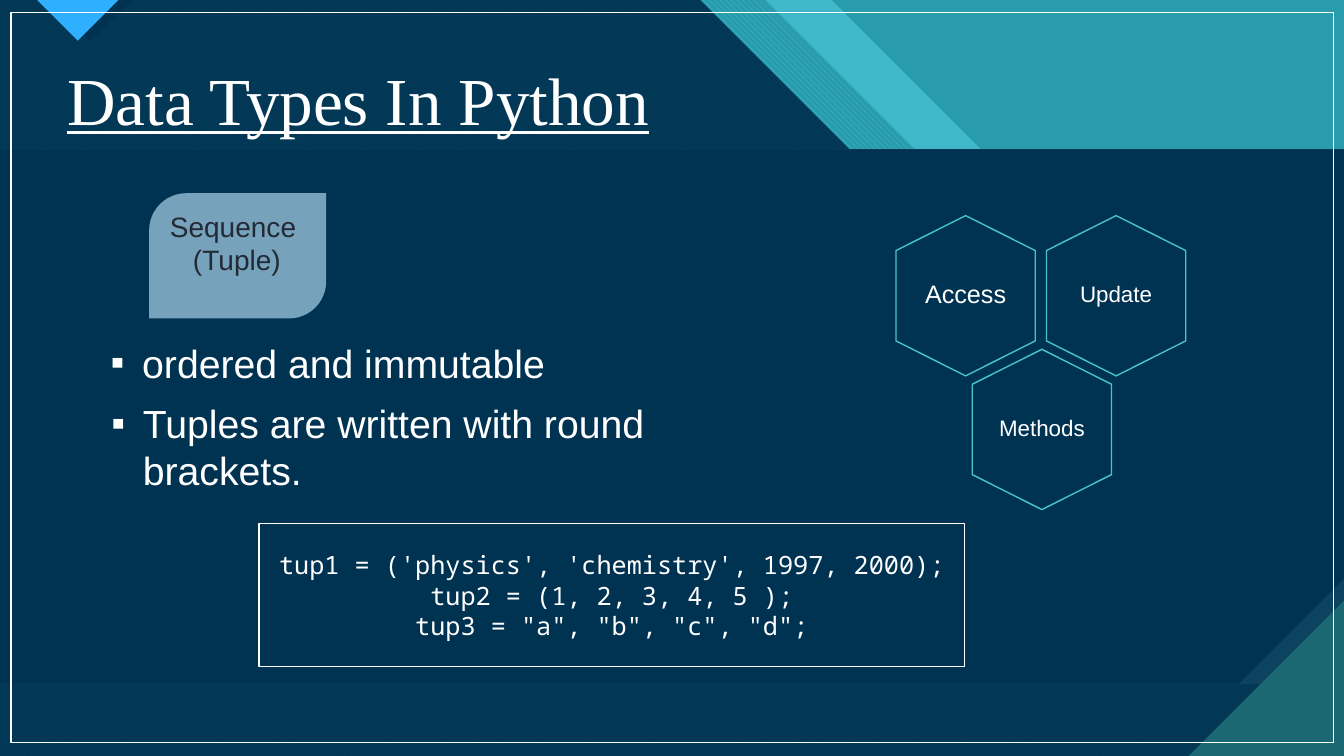
import pptx
import pptx.dml.color
import pptx.enum.dml
import pptx.enum.shapes
import pptx.enum.text
import pptx.oxml
import pptx.oxml.ns
import pptx.util

Pt = pptx.util.Pt
RGB = pptx.dml.color.RGBColor.from_string
PATTERN = pptx.enum.dml.MSO_PATTERN
SHAPE = pptx.enum.shapes.MSO_SHAPE
ANCHOR = pptx.enum.text.MSO_ANCHOR
ALIGN = pptx.enum.text.PP_ALIGN
qn = pptx.oxml.ns.qn

COLORS = {
    "navy": "003352", "slate": "0C4360", "teal": "299CAB", "aqua": "47C3D3",
    "light_aqua": "3FB9C9", "deep_teal": "1B6872", "blue": "2FAFFF",
    "leaf": "77A2BB", "ink": "222A35", "white": "FFFFFF",
}
WIDTH, HEIGHT = 960, 540

presentation = pptx.Presentation()
presentation.slide_width, presentation.slide_height = Pt(WIDTH), Pt(HEIGHT)
slide = presentation.slides.add_slide(presentation.slide_layouts[5])
shapes = slide.shapes
slide.background.fill.solid()
slide.background.fill.fore_color.rgb = RGB(COLORS["teal"])


def style_shape(shape, fill=None, line=None):
    shape.shadow.inherit = False
    if fill:
        shape.fill.solid()
        shape.fill.fore_color.rgb = RGB(COLORS[fill])
    else:
        shape.fill.background()
    if line:
        shape.line.color.rgb = RGB(COLORS[line])
        shape.line.width = Pt(1)
    else:
        shape.line.fill.background()
    return shape


def add_polygon(points, fill, line=None):
    corners = [(Pt(x), Pt(y)) for x, y in points]
    builder = shapes.build_freeform(*corners[0])
    builder.add_line_segments(corners[1:], close=True)
    return style_shape(builder.convert_to_shape(), fill, line)


# Diagonal bands: top edge, fill, pattern with its back colour, opacity
bands = [
    (594, "light_aqua", None, None, 100),
    (547, "aqua", PATTERN.WIDE_DOWNWARD_DIAGONAL, "teal", 100),
    (500, "aqua", PATTERN.WIDE_UPWARD_DIAGONAL, "deep_teal", 100),
    (500, "navy", None, None, 90),
]
for top_edge, fill, pattern, back, opacity in bands:
    band = add_polygon([(0, 0), (top_edge, 0), (WIDTH, WIDTH - top_edge),
                        (WIDTH, HEIGHT), (0, HEIGHT)], fill)
    if pattern is not None:
        band.fill.patterned()
        band.fill.pattern = pattern
        band.fill.fore_color.rgb = RGB(COLORS[fill])
        band.fill.back_color.rgb = RGB(COLORS[back])
    if opacity < 100:
        color = band._element.spPr.find(".//" + qn("a:srgbClr"))
        alpha = pptx.oxml.parse_xml(
            f'<a:alpha {pptx.oxml.ns.nsdecls("a")} val="{opacity * 1000}"/>')
        color.append(alpha)

# Body panel with a cut corner, and the corner triangles
body_top, body_bottom, cut = 106.8, 488.4, 75
add_polygon([(34.5, 0), (94.5, 0), (64.5, 29.5)], "navy")
add_polygon([(26.5, 0), (84.5, 0), (55.5, 29)], "blue")
add_polygon([(0, body_top), (WIDTH, body_top), (WIDTH, body_bottom),
             (0, body_bottom)], "slate")
add_polygon([(0, body_top), (WIDTH, body_top), (WIDTH, body_bottom - cut),
             (WIDTH - cut, body_bottom), (0, body_bottom)], "navy")
add_polygon([(849, HEIGHT), (WIDTH, HEIGHT), (WIDTH, 429)], "deep_teal")

# White frame
frame = shapes.add_shape(SHAPE.RECTANGLE, Pt(8), Pt(9), Pt(944.5), Pt(521.5))
style_shape(frame, line="white")

# Title, brought in front of the background
title = shapes.title
shapes._spTree.append(title._element)
title.left, title.top, title.width, title.height = Pt(41), Pt(21.5), Pt(828), Pt(104.5)
title.text_frame.text = "Data Types In Python"
title.text_frame.auto_size = pptx.enum.text.MSO_AUTO_SIZE.NONE
title.text_frame.vertical_anchor = ANCHOR.MIDDLE
paragraph = title.text_frame.paragraphs[0]
paragraph.alignment = ALIGN.LEFT
paragraph.line_spacing = 0.9
paragraph.font.size = Pt(48)
paragraph.font.name = "Times New Roman"
paragraph.font.underline = True
paragraph.font.color.rgb = RGB(COLORS["white"])

# Topic leaf
leaf = shapes.add_shape(SHAPE.ROUND_2_DIAG_RECTANGLE, Pt(106.5), Pt(138), Pt(126.5), Pt(89.5))
leaf.adjustments[0] = 0.297
style_shape(leaf, "leaf")
leaf.text_frame.text = "Sequence\n(Tuple)"
leaf.text_frame.vertical_anchor = ANCHOR.TOP
for paragraph, indent in zip(leaf.text_frame.paragraphs, (0, 16.5)):
    paragraph._p.get_or_add_pPr().set("marL", str(Pt(indent)))
    paragraph.alignment = ALIGN.LEFT
    paragraph.font.size = Pt(20)
    paragraph.font.name = "Arial"
    paragraph.font.color.rgb = RGB(COLORS["ink"])

# Hexagons
hexagons = [("Update", 747.5, 154, 16), ("Access", 640, 154, 18), ("Methods", 694.5, 249.5, 16)]
hex_width, hex_height, shoulder = 99.5, 114.5, 25
for label, left, top, size in hexagons:
    middle, right, bottom = left + hex_width / 2, left + hex_width, top + hex_height
    hexagon = add_polygon([(middle, top), (right, top + shoulder), (right, bottom - shoulder),
                           (middle, bottom), (left, bottom - shoulder),
                           (left, top + shoulder)], "navy", "aqua")
    text_frame = hexagon.text_frame
    text_frame.text = label
    text_frame.vertical_anchor = ANCHOR.MIDDLE
    text_frame.margin_left = text_frame.margin_right = Pt(16)
    text_frame.margin_top = text_frame.margin_bottom = Pt(18)
    paragraph = text_frame.paragraphs[0]
    paragraph.alignment = ALIGN.CENTER
    paragraph.line_spacing = 0.9
    paragraph.font.size = Pt(size)
    paragraph.font.name = "Arial"
    paragraph.font.color.rgb = RGB(COLORS["white"])

# Bullets
bullets = [("ordered and immutable", 72, 238.5, 41),
           ("Tuples are written with round brackets.", 72.5, 282, 75)]
for text, left, top, height in bullets:
    text_frame = shapes.add_textbox(Pt(left), Pt(top), Pt(448), Pt(height)).text_frame
    text_frame.word_wrap = True
    text_frame.text = text
    paragraph = text_frame.paragraphs[0]
    properties = paragraph._p.get_or_add_pPr()
    properties.set("marL", str(Pt(22.5)))
    properties.set("indent", str(-Pt(22.5)))
    for tag, name, value in (("a:buFont", "typeface", "Arial"), ("a:buChar", "char", "▪")):
        properties.append(pptx.oxml.parse_xml(
            f'<{tag} {pptx.oxml.ns.nsdecls("a")} {name}="{value}"/>'))
    paragraph.font.size = Pt(28)
    paragraph.font.name = "Arial"
    paragraph.font.color.rgb = RGB(COLORS["white"])

# Code box
code_box = shapes.add_shape(SHAPE.RECTANGLE, Pt(185), Pt(374), Pt(504), Pt(102))
style_shape(code_box, "navy", "white")
code_box.text_frame.text = """tup1 = ('physics', 'chemistry', 1997, 2000);
tup2 = (1, 2, 3, 4, 5 );
tup3 = "a", "b", "c", "d";"""
code_box.text_frame.vertical_anchor = ANCHOR.MIDDLE
for paragraph in code_box.text_frame.paragraphs:
    paragraph.alignment = ALIGN.CENTER
    paragraph.font.size = Pt(18)
    paragraph.font.name = "Noto Sans Mono"
    paragraph.font.color.rgb = RGB(COLORS["white"])

presentation.save("out.pptx")
